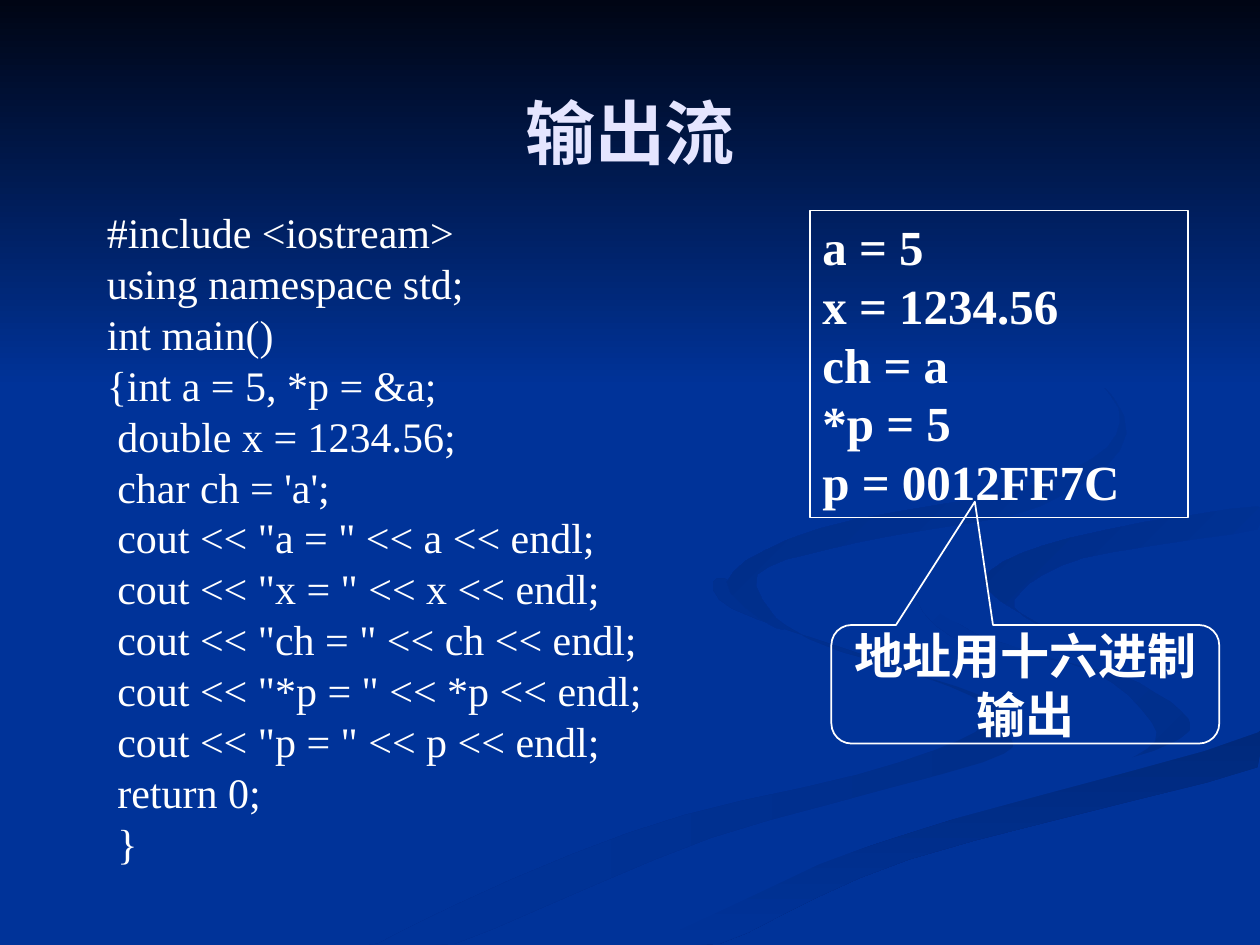
from pptx import Presentation
from pptx.dml.color import RGBColor
from pptx.enum.shapes import MSO_SHAPE
from pptx.enum.text import MSO_ANCHOR, MSO_AUTO_SIZE, PP_ALIGN
from pptx.util import Cm, Pt
from lxml import etree

RECT, CALLOUT = MSO_SHAPE.RECTANGLE, MSO_SHAPE.ROUNDED_RECTANGULAR_CALLOUT
TOP, MIDDLE = MSO_ANCHOR.TOP, MSO_ANCHOR.MIDDLE
NO_FIT, GROW = MSO_AUTO_SIZE.NONE, MSO_AUTO_SIZE.SHAPE_TO_FIT_TEXT
LEFT, CENTER, JUSTIFY = PP_ALIGN.LEFT, PP_ALIGN.CENTER, PP_ALIGN.JUSTIFY
DRAWING = "http://schemas.openxmlformats.org/drawingml/2006/main"

WHITE, LAVENDER, BLUE, NIGHT = "FFFFFF", "E5E5FF", "003399", "000514"
SERIF, SANS = "Times New Roman", "Arial"
UNIT = Cm(0.0254)  # ribbon points count hundredths of an inch
GRID = (1000, 750)

# Ribbons: start colour, end colour, clockwise angle, points on the curved outline
RIBBONS = [
    ("002E8A", BLUE, 180, [
        (781, 553), (642, 507), (575, 459), (581, 483), (714, 530), (786, 566),
        (714, 605), (499, 661), (300, 749), (361, 749), (564, 665), (780, 605), (800, 581)]),
    ("002E8A", BLUE, 225, [
        (943, 570), (888, 535), (774, 503), (724, 464), (755, 505), (868, 533),
        (918, 581), (894, 605), (932, 589)]),
    ("00297C", BLUE, 90, [
        (503, 749), (571, 749), (722, 682), (998, 609), (998, 581), (797, 638), (630, 693)]),
    (BLUE, BLUE, 0, [
        (725, 464), (793, 509), (920, 547), (936, 587), (780, 634), (619, 684), (477, 749),
        (519, 747), (696, 669), (999, 581), (999, 538), (848, 503), (781, 463), (865, 424),
        (999, 402), (999, 387), (808, 417)]),
    (BLUE, "002C85", 225, [
        (781, 460), (826, 496), (805, 476), (859, 443), (998, 420), (998, 402), (849, 427)]),
    (BLUE, "002B81", 225, [
        (683, 430), (825, 402), (894, 344), (843, 275), (762, 233), (846, 279), (889, 335),
        (830, 382), (649, 420), (577, 462), (622, 500), (601, 456)]),
]

CODE = """#include <iostream>
using namespace std;
int main()
{int a = 5, *p = &a;
 double x = 1234.56;
 char ch = 'a';
 cout << "a = " << a << endl;
 cout << "x = " << x << endl;
 cout << "ch = " << ch << endl;
 cout << "*p = " << *p << endl;
 cout << "p = " << p << endl;
 return 0;
 }""".split("\n")
RESULTS = ["a = 5", "x = 1234.56", "ch = a", "*p = 5", "p = 0012FF7C"]


def rgb(hex_code):
    return RGBColor.from_string(hex_code)


def set_all(target, values):
    for name, value in values.items():
        setattr(target, name, value)


def place(part, box):
    set_all(part, dict(zip(("left", "top", "width", "height"), map(Cm, box))))


def paint(part, start, end, angle):
    """Fill a part without outline, graded when its two colours differ."""
    part.shadow.inherit = False
    part.line.fill.background()
    if start == end:
        part.fill.solid()
        part.fill.fore_color.rgb = rgb(start)
        return
    part.fill.gradient()
    part.fill.gradient_angle = 360 - angle
    for stop, color in zip(part.fill.gradient_stops, (start, end)):
        stop.color.rgb = rgb(color)


def curve(points, steps=5):
    """Closed Catmull-Rom curve through the points, kept on the slide."""
    outline = []
    for i in range(len(points)):
        corners = [points[(i + shift) % len(points)] for shift in (-1, 0, 1, 2)]
        for t in (step / steps for step in range(steps)):
            spot = [b + t / 2 * (c - a + t * (2 * a - 5 * b + 4 * c - d
                                              + t * (3 * (b - c) + d - a)))
                    for a, b, c, d in zip(*corners)]
            outline.append(tuple(min(value, edge) for value, edge in zip(spot, GRID)))
    return outline


def write(part, lines, font, color, frame, paragraph_format, plain_list=False):
    """Fill a part with one formatted paragraph per line."""
    text_frame = part.text_frame
    set_all(text_frame, {"word_wrap": True, **frame})
    for index, line in enumerate(lines):
        paragraph = text_frame.add_paragraph() if index else text_frame.paragraphs[0]
        set_all(paragraph, paragraph_format)
        if index == 0:
            paragraph.space_before = Pt(0)
        if plain_list:
            properties = paragraph._p.get_or_add_pPr()
            properties.set("marL", str(Cm(0.95)))
            properties.set("indent", str(Cm(-0.95)))
            etree.SubElement(properties, f"{{{DRAWING}}}buNone")
        run = paragraph.add_run()
        run.text = line
        set_all(run.font, font)
        run.font.color.rgb = rgb(color)


def draw_backdrop(slide, box):
    slide.background.fill.solid()
    slide.background.fill.fore_color.rgb = rgb(BLUE)
    backdrop = slide.shapes.add_group_shape().shapes
    for start, end, angle, points in RIBBONS:
        outline = curve(points)
        builder = backdrop.build_freeform(*outline[0], scale=UNIT)
        builder.add_line_segments(outline[1:], close=True)
        paint(builder.convert_to_shape(), start, end, angle)
    # Night sky fading into the blue
    paint(backdrop.add_shape(RECT, *map(Cm, box)), NIGHT, BLUE, 90)


def bring_to_front(part):
    part.element.getparent().append(part.element)


def fill_title(title, box):
    place(title, box)
    write(title, ["输出流"], {"size": Pt(40), "name": SERIF, "bold": True}, LAVENDER,
          {"vertical_anchor": MIDDLE, "auto_size": NO_FIT}, {"alignment": CENTER})
    bring_to_front(title)


def fill_code(code, box):
    place(code, box)
    write(code, CODE, {"size": Pt(24), "name": SERIF}, WHITE,
          {"vertical_anchor": TOP, "auto_size": NO_FIT},
          {"alignment": LEFT, "line_spacing": 0.8, "space_before": Pt(6)}, plain_list=True)
    bring_to_front(code)


def add_outlined(slide, kind, box, line_width):
    outlined = slide.shapes.add_shape(kind, *map(Cm, box))
    outlined.shadow.inherit = False
    outlined.fill.background()
    outlined.line.color.rgb = rgb(WHITE)
    outlined.line.width = Pt(line_width)
    return outlined


def add_results(slide, box):
    results = add_outlined(slide, RECT, box, 0.75)
    write(results, RESULTS, {"size": Pt(28), "name": SERIF, "bold": True}, WHITE,
          {"vertical_anchor": TOP, "auto_size": GROW}, {"alignment": JUSTIFY})


def add_address_note(slide, box):
    note = add_outlined(slide, CALLOUT, box, 1)
    for index, value in enumerate((-0.13, -1.54, 0.17)):
        note.adjustments[index] = value
    write(note, ["地址用十六进制输出"], {"size": Pt(28), "name": SANS, "bold": True}, WHITE,
          {"vertical_anchor": MIDDLE}, {"alignment": CENTER})


def main():
    deck = Presentation()
    deck.slide_width, deck.slide_height = Cm(25.4), Cm(19.05)
    slide = deck.slides.add_slide(deck.slide_layouts[1])
    draw_backdrop(slide, (0, 0, 25.4, 7.82))
    fill_title(slide.shapes.title, (1.9, 1.07, 21.6, 3.17))
    fill_code(slide.placeholders[1], (1.9, 4.24, 14.43, 13.41))
    add_results(slide, (16.33, 4.24, 7.62, 6.2))
    add_address_note(slide, (16.76, 12.6, 7.82, 2.39))
    deck.save("out.pptx")


if __name__ == "__main__":
    main()
